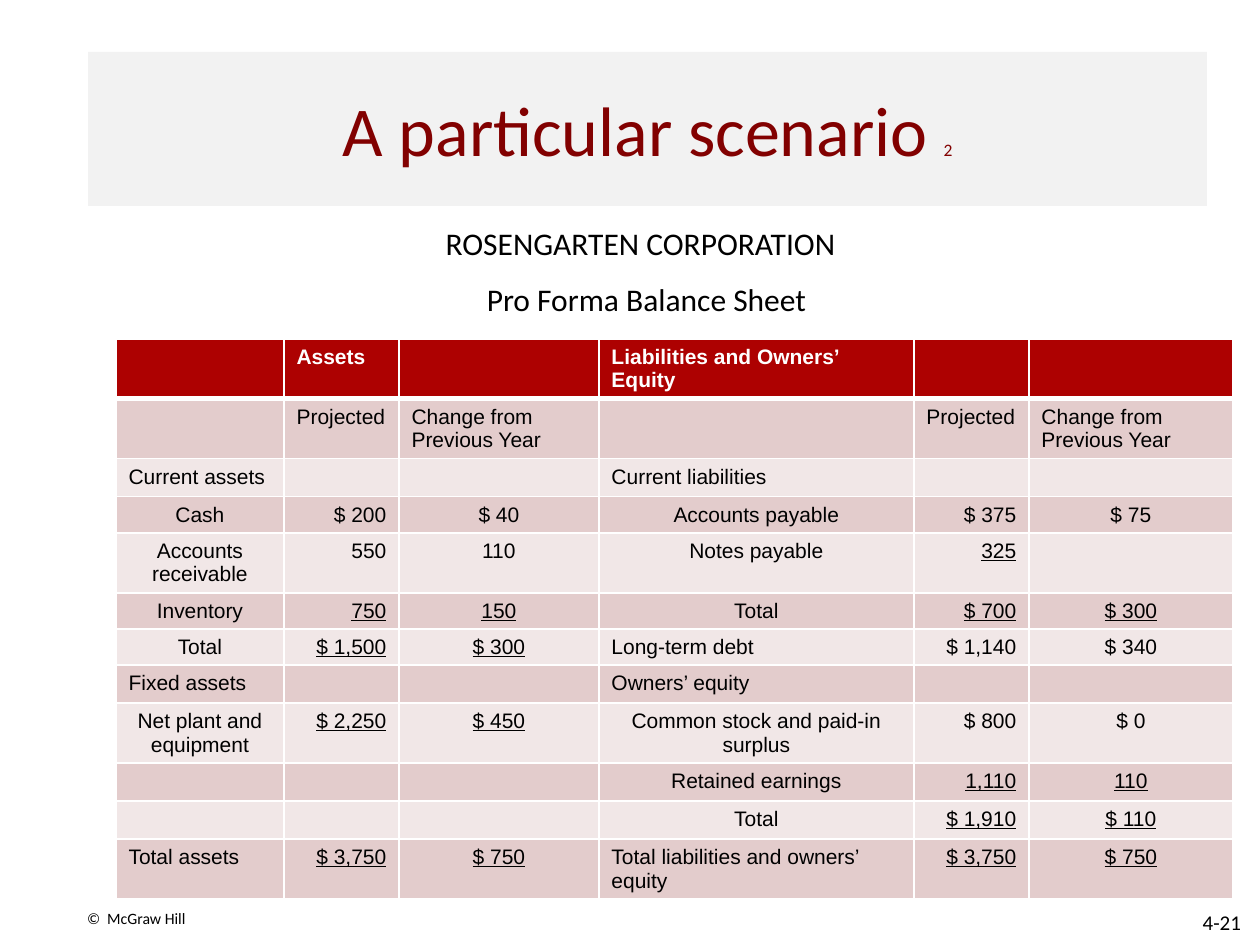
from lxml.etree import SubElement
from pptx import Presentation
from pptx.dml.color import RGBColor
from pptx.enum.text import MSO_ANCHOR, MSO_AUTO_SIZE, PP_ALIGN
from pptx.oxml.ns import qn
from pptx.util import Pt

SCALE = 914400 / 126  # EMU per px
COLORS = {"title": "820101", "panel": "F2F2F2", "head": "AD0101",
          "dark": "E3CCCC", "light": "F1E7E7", "text": "000000",
          "white": "FFFFFF"}

WIDTHS = [168, 115, 200, 315, 115, 204]
HEIGHTS = [59, 60, 38, 36, 60, 36, 36, 38, 60, 38, 38, 59]
# A leading underscore marks an underlined amount
ROWS = [
    ["", "Assets", "", "Liabilities and Owners’ Equity", "", ""],
    ["", "Projected", "Change from\nPrevious Year", "", "Projected",
     "Change from Previous Year"],
    ["Current assets", "", "", "Current liabilities", "", ""],
    ["Cash", "$ 200", "$ 40", "Accounts payable", "$ 375", "$ 75"],
    ["Accounts receivable", "550", "110", "Notes payable", "_325", ""],
    ["Inventory", "_750", "_150", "Total", "_$ 700", "_$ 300"],
    ["Total", "_$ 1,500", "_$ 300", "Long-term debt", "$ 1,140", "$ 340"],
    ["Fixed assets", "", "", "Owners’ equity", "", ""],
    ["Net plant and equipment", "_$ 2,250", "_$ 450",
     "Common stock and paid-in surplus", "$ 800", "$ 0"],
    ["", "", "", "Retained earnings", "_1,110", "_110"],
    ["", "", "", "Total", "_$ 1,910", "_$ 110"],
    ["Total assets", "_$ 3,750", "_$ 750",
     "Total liabilities and owners’ equity", "_$ 3,750", "_$ 750"],
]
GROUPS = {"Current assets", "Current liabilities", "Long-term debt",
          "Fixed assets", "Owners’ equity", "Total assets",
          "Total liabilities and owners’ equity"}


def px(n):
    return round(n * SCALE)


def color(name):
    return RGBColor.from_string(COLORS[name])


def style(font, size, name="Calibri", tint="text"):
    font.size = Pt(size)
    font.name = name
    font.color.rgb = color(tint)


def place(shape, left, top, width, height):
    shape.left, shape.top = px(left), px(top)
    shape.width, shape.height = px(width), px(height)


def add_title(slide):
    title = slide.shapes.title
    place(title, 88, 52, 1119, 154)
    title.fill.solid()
    title.fill.fore_color.rgb = color("panel")
    frame = title.text_frame
    frame.auto_size = MSO_AUTO_SIZE.NONE
    frame.vertical_anchor = MSO_ANCHOR.MIDDLE
    para = frame.paragraphs[0]
    para.alignment = PP_ALIGN.CENTER
    style(para.font, 40, tint="title")
    para.add_run().text = "A particular scenario "
    mark = para.add_run()
    mark.text = "2"
    mark.font.size = Pt(10)


def add_body(slide):
    body = slide.placeholders[1]
    place(body, 433, 218, 427, 108)
    frame = body.text_frame
    frame.auto_size = MSO_AUTO_SIZE.NONE
    frame.text = "ROSENGARTEN CORPORATION\nPro Forma Balance Sheet"
    aligns = (PP_ALIGN.LEFT, PP_ALIGN.CENTER)
    for para, align, gap in zip(frame.paragraphs, aligns, (0, 10)):
        para.alignment = align
        para.space_before = Pt(gap)
        props = para._p.get_or_add_pPr()
        props.set("marL", "0")
        props.set("indent", "0")
        SubElement(props, qn("a:buNone"))
        style(para.font, 18)


def add_note(slide, text, box, size, align, anchor):
    note = slide.shapes.add_textbox(*map(px, box))
    frame = note.text_frame
    frame.word_wrap = True
    frame.vertical_anchor = anchor
    frame.margin_left = px(14)
    frame.margin_right = px(19)
    frame.margin_top = frame.margin_bottom = px(7)
    para = frame.paragraphs[0]
    para.text = text
    para.alignment = align
    style(para.font, size)


def add_edge(cell, side, width):
    line = SubElement(cell._tc.get_or_add_tcPr(), qn("a:ln" + side),
                      w=str(Pt(width)))
    fill = SubElement(line, qn("a:solidFill"))
    SubElement(fill, qn("a:srgbClr"), val=COLORS["white"])


def pick_align(text, row, col):
    if row < 2 or text in GROUPS:
        return PP_ALIGN.LEFT
    return PP_ALIGN.RIGHT if col % 3 == 1 else PP_ALIGN.CENTER


def fill_cell(cell, text, row, col):
    # Borders come before the fill; the header rule is thicker
    for side in "LRTB":
        thick = (row, side) in ((0, "B"), (1, "T"))
        add_edge(cell, side, 3 if thick else 1)
    cell.fill.solid()
    tint = "head" if row == 0 else ("dark" if row % 2 else "light")
    cell.fill.fore_color.rgb = color(tint)

    cell.text = text.lstrip("_")
    for para in cell.text_frame.paragraphs:
        para.alignment = pick_align(text, row, col)
        style(para.font, 12, "Arial", "text" if row else "white")
        para.font.bold = row == 0
        para.font.underline = text.startswith("_")
    if not text:
        cell.margin_top = cell.margin_bottom = 0


def add_sheet(slide):
    frame = slide.shapes.add_table(
        len(ROWS), len(WIDTHS), px(116), px(339),
        px(sum(WIDTHS)), px(sum(HEIGHTS)))
    table = frame.table
    table.horz_banding = False
    for column, width in zip(table.columns, WIDTHS):
        column.width = px(width)
    for line, height in zip(table.rows, HEIGHTS):
        line.height = px(height)
    for row, texts in enumerate(ROWS):
        for col, text in enumerate(texts):
            fill_cell(table.cell(row, col), text, row, col)


def main():
    deck = Presentation()
    deck.slide_width, deck.slide_height = px(1260), px(945)
    slide = deck.slides.add_slide(deck.slide_layouts[1])
    # Heading and balance sheet
    add_title(slide)
    add_body(slide)
    add_sheet(slide)
    # Footer
    add_note(slide, "©  McGraw Hill", (73, 896, 273, 45), 9,
             PP_ALIGN.LEFT, MSO_ANCHOR.MIDDLE)
    add_note(slide, "4-21", (1108, 903, 152, 38), 12,
             PP_ALIGN.RIGHT, MSO_ANCHOR.TOP)
    deck.save("out.pptx")


if __name__ == "__main__":
    main()
